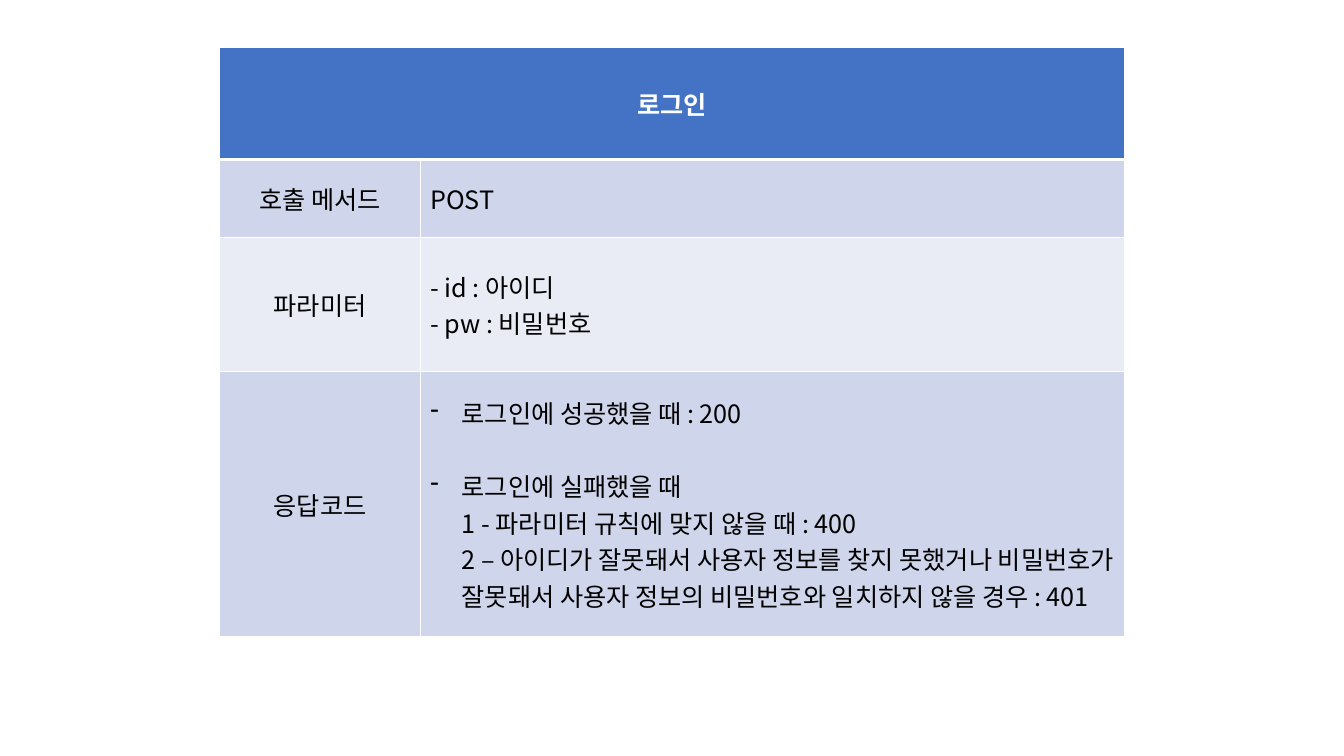
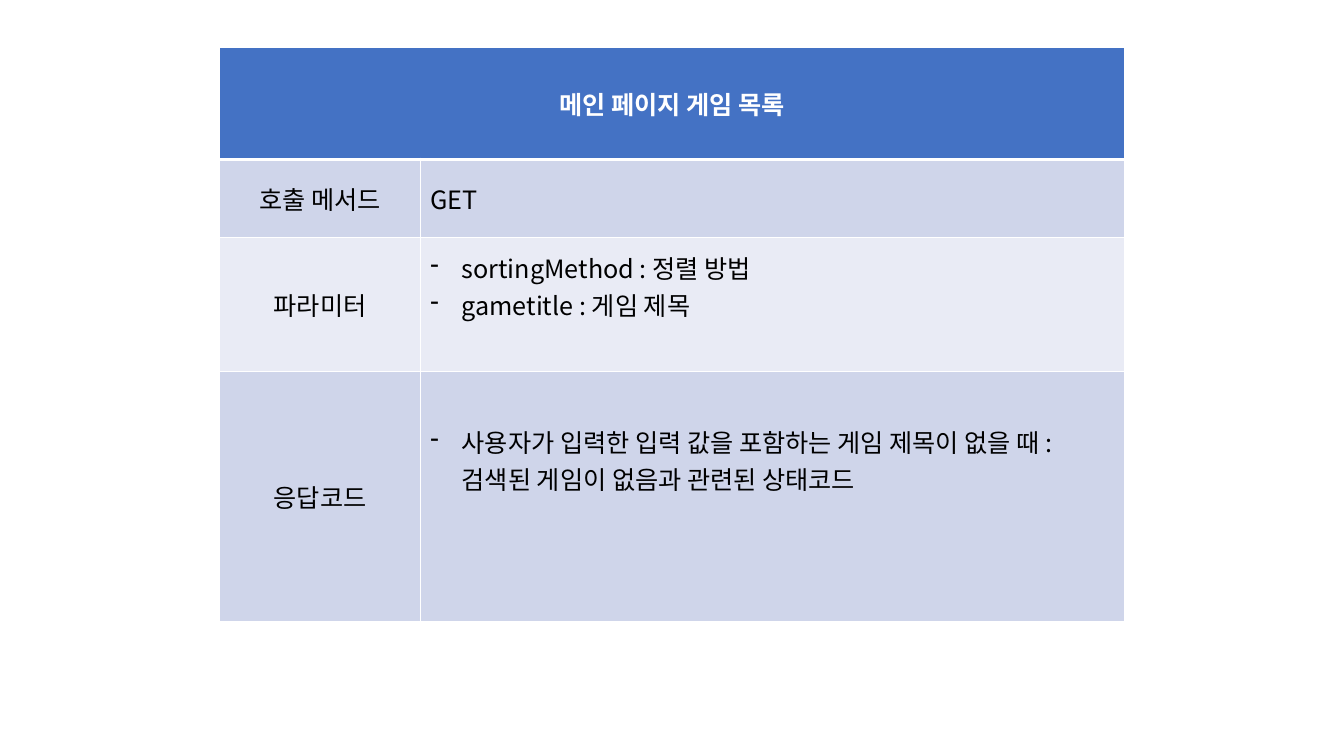
import lxml.etree
import pptx
import pptx.dml.color
import pptx.enum.text
import pptx.util
from pptx.oxml.ns import qn
from pptx.util import Cm

COLORS = {"header": "4472C4", "odd": "CFD5EA", "even": "E9EBF5", "rule": "FFFFFF", "title": "FFFFFF", "body": "000000"}
FONT = "Noto Sans CJK KR"
COLUMNS = (5.05, 17.75)
ROWS = (2.82, 1.96, 3.38, 6.3)
LABELS = ("호출 메서드", "파라미터", "응답코드")
LINE_HEIGHT = 0.92

APIS = [
    {
        "title": "로그인",
        "details": [
            {"lines": ["POST"]},
            {"lines": ["- id : 아이디", "- pw : 비밀번호"]},
            {
                "lines": [
                    "로그인에 성공했을 때 : 200",
                    "로그인에 실패했을 때\n1 - 파라미터 규칙에 맞지 않을 때 : 400\n"
                    "2 – 아이디가 잘못돼서 사용자 정보를 찾지 못했거나 "
                    "비밀번호가 잘못돼서 사용자 정보의 비밀번호와 일치하지 않을 경우 : 401",
                ],
                "bulleted": True,
                "gap": 26,
            },
        ],
    },
    {
        "title": "메인 페이지 게임 목록",
        "details": [
            {"lines": ["GET"]},
            {"lines": ["sortingMethod : 정렬 방법", "gametitle : 게임 제목"], "bulleted": True, "lift": 1},
            {
                "lines": ["사용자가 입력한 입력 값을 포함하는 게임 제목이 없을 때 : 검색된 게임이 없음과 관련된 상태코드"],
                "bulleted": True,
                "lift": 2,
            },
        ],
    },
]


class ApiDeck:
    """Draws API description tables in one shared style."""

    def __init__(self):
        self.deck = pptx.Presentation()
        self.deck.slide_width, self.deck.slide_height = Cm(33.87), Cm(19.05)
        self.slide = None

    def add_slide(self):
        self.slide = self.deck.slides.add_slide(self.deck.slide_layouts[6])

    def style_runs(self, paragraph, color, bold):
        for run in paragraph.runs:
            for name, value in {"name": FONT, "size": pptx.util.Pt(18), "bold": bold}.items():
                setattr(run.font, name, value)
            run.font.color.rgb = pptx.dml.color.RGBColor.from_string(COLORS[color])
            lxml.etree.SubElement(run.font._element, qn("a:ea"), typeface=FONT)

    def add_bullet(self, paragraph):
        properties = paragraph._p.get_or_add_pPr()
        for name, value in {"marL": Cm(0.79), "indent": -Cm(0.79)}.items():
            properties.set(name, str(value))
        lxml.etree.SubElement(properties, qn("a:buChar"), char="-")

    def add_borders(self, cell, top=1, bottom=1):
        properties = cell._tc.get_or_add_tcPr()
        widths = {"lnL": 1, "lnR": 1, "lnT": top, "lnB": bottom}
        for position, (side, width) in enumerate(widths.items()):
            line = lxml.etree.Element(qn("a:" + side), w=str(pptx.util.Pt(width)))
            fill = lxml.etree.SubElement(line, qn("a:solidFill"))
            lxml.etree.SubElement(fill, qn("a:srgbClr"), val=COLORS["rule"])
            properties.insert(position, line)

    def fill_cell(self, cell, lines, fill, color="body", bold=False, centered=False,
                  bulleted=False, gap=0, lift=0, **borders):
        cell.vertical_anchor = pptx.enum.text.MSO_ANCHOR.MIDDLE
        cell.margin_bottom = Cm(0.13 + lift * LINE_HEIGHT)
        cell.fill.solid()
        cell.fill.fore_color.rgb = pptx.dml.color.RGBColor.from_string(COLORS[fill])
        self.add_borders(cell, **borders)
        align = pptx.enum.text.PP_ALIGN
        for index, line in enumerate(lines):
            frame = cell.text_frame
            paragraph = frame.add_paragraph() if index else frame.paragraphs[0]
            paragraph.text = line
            paragraph.alignment = align.CENTER if centered else align.LEFT
            if gap and index < len(lines) - 1:
                paragraph.space_after = pptx.util.Pt(gap)
            if bulleted:
                self.add_bullet(paragraph)
            self.style_runs(paragraph, color, bold)

    def add_api_table(self, title, details):
        table = self.slide.shapes.add_table(
            len(ROWS), len(COLUMNS), Cm(5.54), Cm(1.2), Cm(sum(COLUMNS)), Cm(sum(ROWS))
        ).table
        for column, width in zip(table.columns, COLUMNS):
            column.width = Cm(width)
        for row, height in zip(table.rows, ROWS):
            row.height = Cm(height)
        header, covered = table.cell(0, 0), table.cell(0, 1)
        header.merge(covered)
        self.fill_cell(header, [title], "header", "title", bold=True, centered=True, bottom=3)
        self.fill_cell(covered, [], "header", bottom=3)
        for row, (label, detail) in enumerate(zip(LABELS, details), 1):
            band = {"fill": "odd" if row % 2 else "even", "top": 3 if row == 1 else 1}
            self.fill_cell(table.cell(row, 0), [label], centered=True, **band)
            self.fill_cell(table.cell(row, 1), **detail, **band)


def main():
    api_deck = ApiDeck()
    for api in APIS:
        api_deck.add_slide()
        api_deck.add_api_table(**api)
    api_deck.deck.save("out.pptx")


if __name__ == "__main__":
    main()
